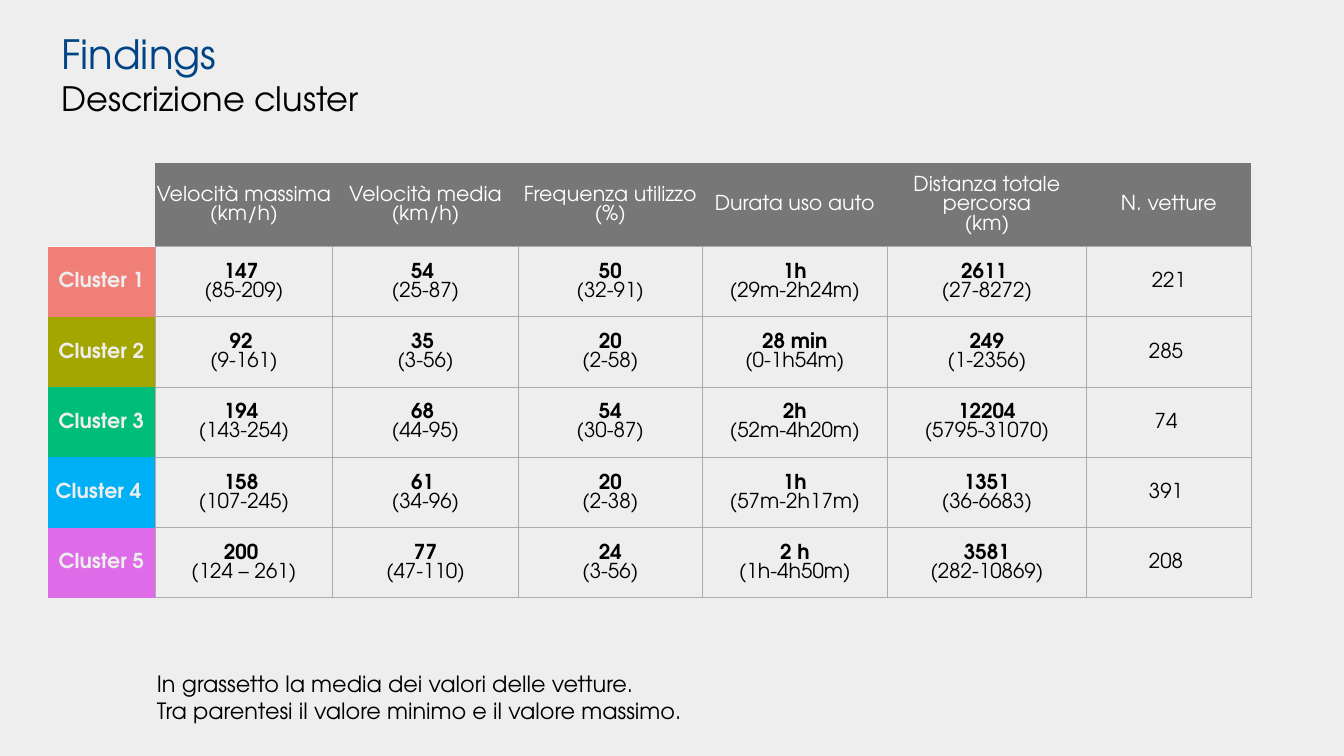
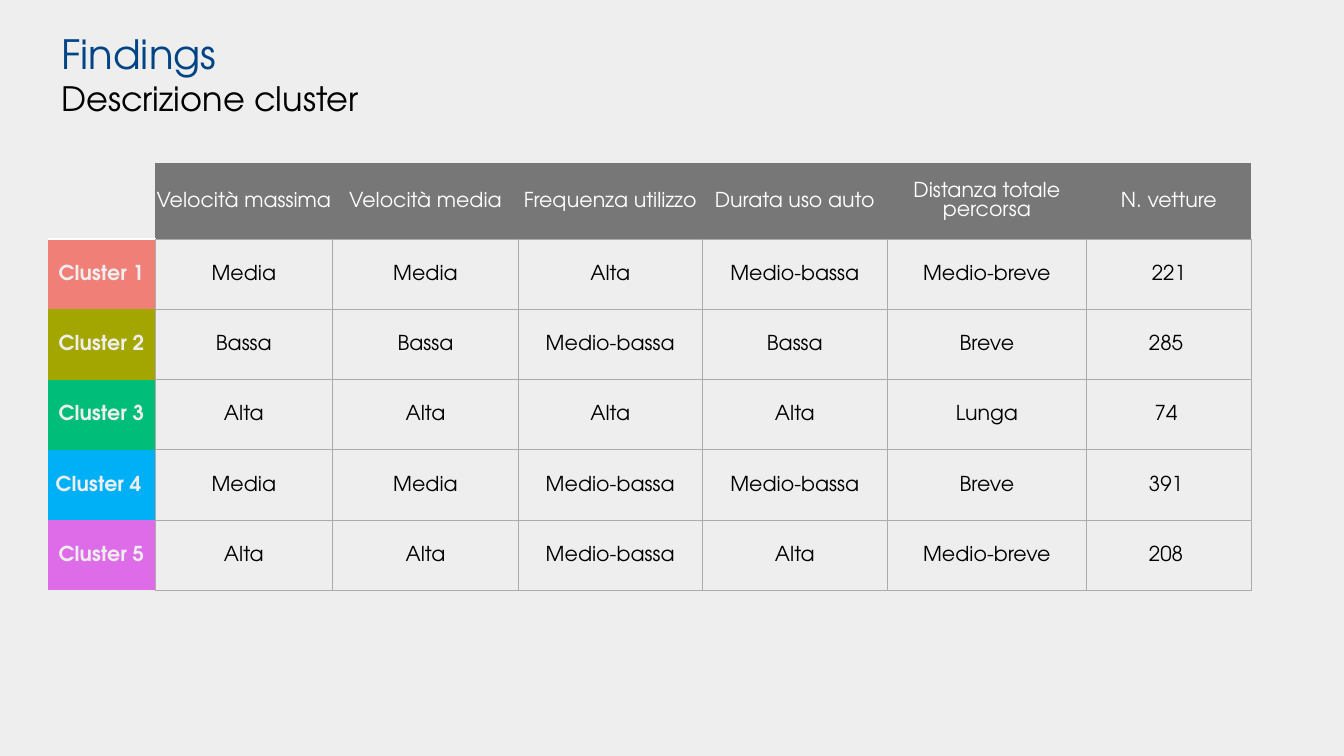
from dataclasses import dataclass

from lxml.etree import SubElement
from pptx import Presentation
from pptx.dml.color import RGBColor
from pptx.enum.text import MSO_ANCHOR, MSO_AUTO_SIZE, PP_ALIGN
from pptx.oxml.ns import qn
from pptx.util import Pt


@dataclass(frozen=True)
class Theme:
    font: str = "TeX Gyre Adventor"
    background: str = "EEEEEE"
    heading: str = "004485"
    text: str = "000000"
    header_fill: str = "777777"
    header_text: str = "FFFFFF"
    grid: str = "AEAAAA"
    corner_line: str = "FFFFFF"
    clusters: tuple = ("F07F78", "A4A600", "00BE7A", "00B0F6", "DE6CE8")
    heading_size: float = 21.6
    subheading_size: float = 18
    table_size: float = 11
    note_size: float = 12


theme = Theme()


def style_font(font, size, color, bold=False):
    font.name = theme.font
    font.size = Pt(size)
    font.bold = bold
    font.color.rgb = RGBColor.from_string(color)


def draw_borders(cell, borders):
    """Draw the sides named in borders as (colour, points); hide the others."""
    properties = cell._tc.get_or_add_tcPr()
    for side in "LRTB":
        color, width = borders.get(side, (None, 0))
        line = SubElement(properties, qn(f"a:ln{side}"), w=str(Pt(width)))
        if color:
            fill = SubElement(line, qn("a:solidFill"))
            SubElement(fill, qn("a:srgbClr"), val=color)
        else:
            SubElement(line, qn("a:noFill"))


# Content: a line break inside a cell starts a new paragraph
cluster_names = ["Cluster 1", "Cluster 2", "Cluster 3", "Cluster 4 ", "Cluster 5"]
vehicle_counts = ["221", "285 ", "74 ", "391 ", "208 "]

value_headers = ["Velocità massima (km/h)", "Velocità media\n(km/h)",
                 "Frequenza utilizzo\n(%)", "Durata uso auto",
                 "Distanza totale percorsa\n(km)", "N. vetture"]
value_rows = [
    ["147 \n(85-209)", "54 \n(25-87)", "50\n(32-91)", "1h\n(29m-2h24m)", "2611 \n(27-8272)"],
    ["92 \n(9-161)", "35 \n(3-56)", "20\n(2-58)", "28 min\n(0-1h54m)", "249\n(1-2356)"],
    ["194 \n(143-254)", "68 \n(44-95)", "54\n(30-87)", "2h\n(52m-4h20m)", "12204\n(5795-31070)"],
    ["158 \n(107-245)", "61 \n(34-96)", "20\n(2-38)", "1h\n(57m-2h17m)", "1351\n(36-6683)"],
    ["200 \n(124 – 261)", "77\n(47-110)", "24\n(3-56)", "2 h\n(1h-4h50m)", "3581\n(282-10869)"],
]

level_headers = ["Velocità massima", "Velocità media", "Frequenza utilizzo",
                 "Durata uso auto", "Distanza totale percorsa", "N. vetture"]
level_rows = [
    ["Media", "Media", "Alta", "Medio-bassa", "Medio-breve"],
    ["Bassa", "Bassa", "Medio-bassa", "Bassa", "Breve"],
    ["Alta", "Alta", "Alta", "Alta", "Lunga"],
    ["Media", "Media", "Medio-bassa", "Medio-bassa", "Breve"],
    ["Alta", "Alta", "Medio-bassa", "Alta", "Medio-breve"],
]

value_notes = ["In grassetto la media dei valori delle vetture.",
               "Tra parentesi il valore minimo e il valore massimo."]

cluster_slides = [
    (value_headers, value_rows, 44.8, value_notes),
    (level_headers, level_rows, 40.8, []),
]

left_edge = 25.6
column_widths = [57.5, 95.2, 99.4, 98.6, 99.2, 106.6, 88.4]
cluster_row_height = 37.65
grid_line = (theme.grid, 0.5)
corner_line = (theme.corner_line, 1)

# Page and shared background
prs = Presentation()
prs.slide_width, prs.slide_height = Pt(720), Pt(405)
background = prs.slide_master.background.fill
background.solid()
background.fore_color.rgb = RGBColor.from_string(theme.background)

for headers, rows, header_height, notes in cluster_slides:
    slide = prs.slides.add_slide(prs.slide_layouts[5])

    # Title in two lines
    title = slide.shapes.title
    title.left, title.top, title.width, title.height = Pt(left_edge), Pt(23.8), Pt(406), Pt(31)
    title.text_frame.auto_size = MSO_AUTO_SIZE.NONE
    title.text_frame.vertical_anchor = MSO_ANCHOR.MIDDLE
    title_line = title.text_frame.paragraphs[0]
    title_line.alignment = PP_ALIGN.LEFT
    heading = title_line.add_run()
    heading.text = "Findings "
    style_font(heading.font, theme.heading_size, theme.heading)
    title_line.add_line_break()
    subheading = title_line.add_run()
    subheading.text = "Descrizione cluster"
    style_font(subheading.font, theme.subheading_size, theme.text)

    # Cluster table
    grid = [["", *headers]]
    for name, values, count in zip(cluster_names, rows, vehicle_counts):
        grid.append([name, *values, count])
    row_heights = [header_height] + [cluster_row_height] * len(rows)
    table = slide.shapes.add_table(
        len(grid), len(column_widths), Pt(left_edge), Pt(87.3),
        Pt(sum(column_widths)), Pt(sum(row_heights))).table
    table.first_row = table.horz_banding = False
    for column, width in zip(table.columns, column_widths):
        column.width = Pt(width)
    for row, height in zip(table.rows, row_heights):
        row.height = Pt(height)

    for r, row_texts in enumerate(grid):
        for c, text in enumerate(row_texts):
            # Look of the cell by its role
            color, borders = theme.text, dict.fromkeys("LRTB", grid_line)
            fill = theme.background
            if r == 0 and c == 0:
                borders = {"B": corner_line}
            elif r == 0:
                fill, color, borders = theme.header_fill, theme.header_text, {"B": grid_line}
            elif c == 0:
                fill, color, borders = theme.clusters[r - 1], theme.background, {"R": grid_line}
                if r == 1:
                    borders["T"] = corner_line

            cell = table.cell(r, c)
            draw_borders(cell, borders)
            cell.fill.solid()
            cell.fill.fore_color.rgb = RGBColor.from_string(fill)
            cell.vertical_anchor = MSO_ANCHOR.MIDDLE
            cell.margin_left = cell.margin_right = cell.margin_top = Pt(0.5)
            cell.margin_bottom = 0

            # Cluster names and means are bold
            cell.text = text
            for i, paragraph in enumerate(cell.text_frame.paragraphs):
                is_mean = r > 0 and i == 0 and "\n" in text
                is_name = r > 0 and c == 0
                paragraph.alignment = PP_ALIGN.CENTER
                style_font(paragraph.font, theme.table_size, color, is_mean or is_name)

    # Reading note
    if notes:
        note = slide.shapes.add_textbox(Pt(77), Pt(355.7), Pt(316), Pt(36)).text_frame
        note.word_wrap = True
        note.auto_size = MSO_AUTO_SIZE.SHAPE_TO_FIT_TEXT
        note.text = "\n".join(notes)
        for paragraph in note.paragraphs:
            style_font(paragraph.font, theme.note_size, theme.text)

prs.save("out.pptx")
